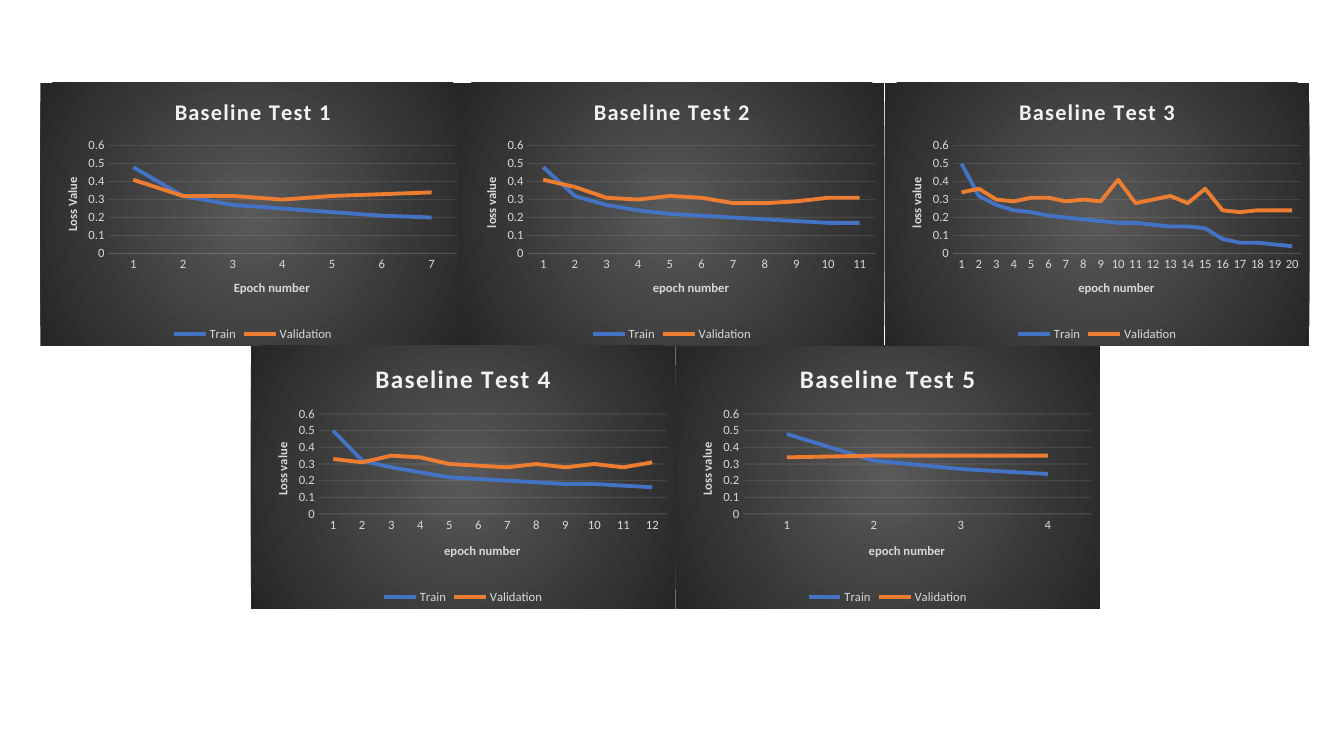
from lxml import etree
from pptx import Presentation
from pptx.chart.data import CategoryChartData
from pptx.dml.color import RGBColor
from pptx.enum.chart import XL_CHART_TYPE, XL_LEGEND_POSITION, XL_TICK_MARK
from pptx.oxml import parse_xml
from pptx.oxml.ns import nsdecls, qn
from pptx.util import Cm, Pt

LINE_CHART = XL_CHART_TYPE.LINE
LEGEND_BOTTOM = XL_LEGEND_POSITION.BOTTOM
NO_TICKS = XL_TICK_MARK.NONE

COLORS = {
    "title": "F2F2F2", "label": "D9D9D9", "rule": "F2F2F2",
    "center": "595959", "edge": "262626",
    "Train": "4472C4", "Validation": "ED7D31",
}
FONT = "Calibri"
LABEL = {"name": FONT, "size": Pt(9), "bold": False}
AXIS_TITLE = {"name": FONT, "size": Pt(9), "bold": True}
AXIS = {"major_tick_mark": NO_TICKS, "minor_tick_mark": NO_TICKS}
LOSS_SCALE = {"minimum_scale": 0, "maximum_scale": 0.6, "major_unit": 0.1}
LEGEND = {"position": LEGEND_BOTTOM, "include_in_layout": False}

# Chart size and the two rows: top, title size, plot top, plot height, loss title top
CHART_W, CHART_H = 10.7, 6.63
UPPER = (2.08, 16, 0.24, 0.41, 0.35)
LOWER = (8.71, 18, 0.26, 0.38, 0.36)

# Name, left, row, epoch title, loss title, train losses, validation losses
TESTS = [
    ("Baseline Test 5", 17.02, LOWER, "epoch number", "Loss value",
     [0.48, 0.32, 0.27, 0.24],
     [0.34, 0.35, 0.35, 0.35]),
    ("Baseline Test 1", 1.02, UPPER, "Epoch number", "Loss Value",
     [0.48, 0.32, 0.27, 0.25, 0.23, 0.21, 0.2],
     [0.41, 0.32, 0.32, 0.3, 0.32, 0.33, 0.34]),
    ("Baseline Test 2", 11.58, UPPER, "epoch number", "loss value",
     [0.48, 0.32, 0.27, 0.24, 0.22, 0.21, 0.2, 0.19, 0.18, 0.17, 0.17],
     [0.41, 0.37, 0.31, 0.3, 0.32, 0.31, 0.28, 0.28, 0.29, 0.31, 0.31]),
    ("Baseline Test 3", 22.3, UPPER, "epoch number", "loss value",
     [0.5, 0.32, 0.27, 0.24, 0.23, 0.21, 0.2, 0.19, 0.18, 0.17,
      0.17, 0.16, 0.15, 0.15, 0.14, 0.08, 0.06, 0.06, 0.05, 0.04],
     [0.34, 0.36, 0.3, 0.29, 0.31, 0.31, 0.29, 0.3, 0.29, 0.41,
      0.28, 0.3, 0.32, 0.28, 0.36, 0.24, 0.23, 0.24, 0.24, 0.24]),
    ("Baseline Test 4", 6.32, LOWER, "epoch number", "Loss value",
     [0.5, 0.32, 0.28, 0.25, 0.22, 0.21, 0.2, 0.19, 0.18, 0.18, 0.17, 0.16],
     [0.33, 0.31, 0.35, 0.34, 0.3, 0.29, 0.28, 0.3, 0.28, 0.3, 0.28, 0.31]),
]


def apply(target, values):
    for name, value in values.items():
        setattr(target, name, value)


class LossSlide:
    """Dark loss charts on one slide."""

    def __init__(self, slide, colors):
        self.slide = slide
        self.colors = colors

    def rgb(self, name):
        return RGBColor.from_string(self.colors[name])

    def font(self, font, values, color):
        apply(font, values)
        font.color.rgb = self.rgb(color)

    def rule(self, line):
        line.width = Pt(0.75)
        line.color.rgb = self.rgb("rule")
        for color in line.fill._xPr.iter(qn("a:srgbClr")):
            etree.SubElement(color, qn("a:alpha"), val="10000")

    def layout(self, parent, index, **fractions):
        for old in parent.findall(qn("c:layout")):
            parent.remove(old)
        layout = etree.Element(qn("c:layout"))
        manual = etree.SubElement(layout, qn("c:manualLayout"))
        if "w" in fractions:
            etree.SubElement(manual, qn("c:layoutTarget"), val="inner")
        for side in ("x", "y"):
            etree.SubElement(manual, qn(f"c:{side}Mode"), val="edge")
        for side, value in fractions.items():
            etree.SubElement(manual, qn(f"c:{side}"), val=str(value))
        parent.insert(index, layout)

    def background(self, chart):
        stops = "".join(
            f'<a:gs pos="{pos}"><a:srgbClr val="{self.colors[name]}"/></a:gs>'
            for pos, name in ((0, "center"), (100000, "edge")))
        chart.element.find(qn("c:chart")).addnext(parse_xml(
            f'<c:spPr {nsdecls("c", "a")}><a:gradFill><a:gsLst>{stops}</a:gsLst>'
            '<a:path path="circle"><a:fillToRect l="50000" t="50000" r="50000" b="50000"/>'
            '</a:path></a:gradFill><a:ln><a:noFill/></a:ln></c:spPr>'))

    def title(self, chart, text, size):
        chart.has_title = True
        frame = chart.chart_title.text_frame
        frame.text = text
        run = frame.paragraphs[0].runs[0]
        self.font(run.font, {"name": FONT, "size": Pt(size), "bold": True}, "title")
        for properties in chart.chart_title.element.iter(qn("a:rPr")):
            properties.set("spc", "100")
        chart.chart_title.include_in_layout = False

    def axis(self, axis, text, x, y, rotation):
        apply(axis, AXIS)
        self.font(axis.tick_labels.font, LABEL, "label")
        frame = axis.axis_title.text_frame
        frame.text = text
        self.font(frame.paragraphs[0].runs[0].font, AXIS_TITLE, "label")
        title = axis.axis_title.element
        for body in title.iter(qn("a:bodyPr")):
            body.set("rot", str(rotation))
            body.set("vert", "horz")
        self.layout(title, 1, x=x, y=y)

    def loss_chart(self, name, left, row, epoch, loss, train, validation):
        top, title_size, plot_top, plot_height, loss_top = row
        data = CategoryChartData()
        data.categories = [str(n) for n in range(1, len(train) + 1)]
        data.add_series("Train", train)
        data.add_series("Validation", validation)
        chart = self.slide.shapes.add_chart(
            LINE_CHART, Cm(left), Cm(top), Cm(CHART_W), Cm(CHART_H), data).chart
        apply(chart.font, {"name": FONT, "size": Pt(10)})
        self.background(chart)
        self.title(chart, name, title_size)

        # Axes and plot area
        self.axis(chart.category_axis, epoch, 0.45, 0.74, 0)
        self.rule(chart.category_axis.format.line)
        self.axis(chart.value_axis, loss, 0.05, loss_top, -5400000)
        apply(chart.value_axis, LOSS_SCALE)
        chart.value_axis.format.line.fill.background()
        self.rule(chart.value_axis.major_gridlines.format.line)
        apply(chart.value_axis.tick_labels,
              {"number_format": "General", "number_format_is_linked": False})
        plot_area = chart.element.find(qn("c:chart")).find(qn("c:plotArea"))
        self.layout(plot_area, 0, x=0.16, y=plot_top, w=0.82, h=plot_height)

        # Loss lines
        chart.plots[0].vary_by_categories = False
        for series in chart.plots[0].series:
            series.smooth = False
            series.format.line.width = Pt(2.75)
            series.format.line.color.rgb = self.rgb(series.name)

        # Legend
        chart.has_legend = True
        apply(chart.legend, LEGEND)
        self.font(chart.legend.font, LABEL, "label")


def main():
    deck = Presentation()
    apply(deck, {"slide_width": Cm(33.87), "slide_height": Cm(19.05)})
    page = LossSlide(deck.slides.add_slide(deck.slide_layouts[6]), COLORS)
    for test in TESTS:
        page.loss_chart(*test)
    deck.save("out.pptx")


if __name__ == "__main__":
    main()
